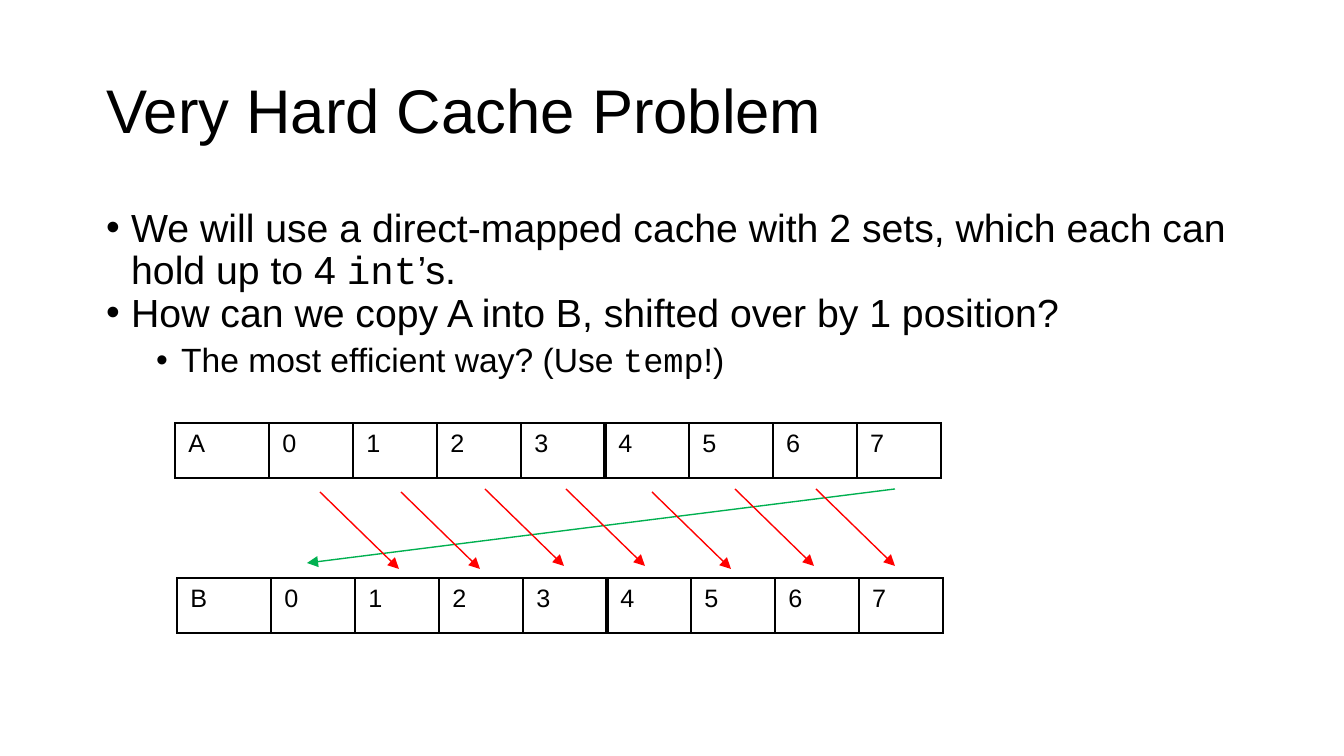
from dataclasses import dataclass

from lxml.etree import SubElement
from pptx import Presentation
from pptx.dml.color import RGBColor
from pptx.enum.shapes import MSO_CONNECTOR
from pptx.enum.text import MSO_ANCHOR
from pptx.oxml.ns import qn
from pptx.util import Emu, Pt

BLACK, RED, GREEN = "000000", "FF0000", "00B050"
SANS, MONO = "Arial", "Courier New"


@dataclass
class Array:
    name: str
    x: int
    y: int


@dataclass
class Arrow:
    x1: int
    y1: int
    x2: int
    y2: int
    color: str = RED


def px(n: int) -> Emu:
    return Emu(round(n * 914400 / 134.4))


def rgb(color: str) -> RGBColor:
    return RGBColor.from_string(color)


def add_text(p, text: str, *, size: float, font: str = SANS, color: str = BLACK) -> None:
    r = p.add_run()
    r.text = text
    r.font.size = Pt(size)
    r.font.name = font
    r.font.color.rgb = rgb(color)


def add_box(s, x: int, y: int, w: int, h: int):
    tf = s.shapes.add_textbox(px(x), px(y), px(w), px(h)).text_frame
    tf.word_wrap = True
    return tf


def set_bullet(p, left: int, hang: int) -> None:
    pPr = p._p.get_or_add_pPr()
    pPr.set("marL", str(px(left)))
    pPr.set("indent", str(-px(hang)))
    SubElement(pPr, qn("a:buFont"), typeface=SANS)
    SubElement(pPr, qn("a:buChar"), char="•")


def set_border(cell, side: str, width: float) -> None:
    tcPr = cell._tc.get_or_add_tcPr()
    ln = SubElement(tcPr, qn(f"a:ln{side}"), w=str(Pt(width)))
    fill = SubElement(ln, qn("a:solidFill"))
    SubElement(fill, qn("a:srgbClr"), val=BLACK)


def draw_array(s, array: Array) -> None:
    labels = [array.name, *map(str, range(8))]
    widths = [94] + [84] * 8
    table = s.shapes.add_table(1, len(labels), px(array.x), px(array.y),
                               px(sum(widths)), px(55)).table
    table.first_row = table.horz_banding = False
    table.rows[0].height = px(55)
    for i, (label, width) in enumerate(zip(labels, widths)):
        table.columns[i].width = px(width)
        cell = table.cell(0, i)
        add_text(cell.text_frame.paragraphs[0], label, size=13.5)
        # A thick line splits the array into two cache blocks
        for side in "LRTB":
            thick = (i, side) in ((4, "R"), (5, "L"))
            set_border(cell, side, 2.2 if thick else 0.96)
        cell.fill.background()


def draw_arrow(s, a: Arrow) -> None:
    sp = s.shapes.add_connector(MSO_CONNECTOR.STRAIGHT,
                                px(a.x1), px(a.y1), px(a.x2), px(a.y2))
    sp.line.color.rgb = rgb(a.color)
    sp.line.width = Pt(0.75)
    SubElement(sp.line._get_or_add_ln(), qn("a:tailEnd"), type="triangle")
    SubElement(sp._element.spPr, qn("a:effectLst"))


prs = Presentation()
prs.slide_width, prs.slide_height = px(1344), px(756)
s = prs.slides.add_slide(prs.slide_layouts[6])

# Title
tf = add_box(s, 93, 40, 1159, 147)
tf.vertical_anchor = MSO_ANCHOR.MIDDLE
p = tf.paragraphs[0]
p.line_spacing = 0.9
add_text(p, "Very Hard Cache Problem", size=33)

# Bullets: level and runs, with code in the monospaced font
BULLETS = [
    (0, [("We will use a direct-mapped cache with 2 sets, which each can hold up to 4 ", SANS),
         ("int", MONO), ("’s.", SANS)]),
    (0, [("How can we copy A into B, shifted over by 1 position?", SANS)]),
    (1, [("The most efficient way? (Use ", SANS), ("temp", MONO), ("!)", SANS)]),
]
tf = add_box(s, 93, 202, 1159, 480)
for i, (level, runs) in enumerate(BULLETS):
    p = tf.add_paragraph() if i else tf.paragraphs[0]
    p.level = level
    p.line_spacing = 1.0 if level else 0.9
    p.space_before = Pt(2 if level else 0)
    set_bullet(p, 25 + 50 * level, 25)
    for text, font in runs:
        add_text(p, text, size=18 if level else 21, font=font)

# Arrays
for array in (Array("A", 175, 423), Array("B", 177, 578)):
    draw_array(s, array)

# Arrows: each element moves one place right, the last wraps to the front
STARTS = [(320, 492), (401, 492), (485, 489), (566, 489), (652, 492), (735, 489), (816, 489)]
draw_arrow(s, Arrow(895, 489, 307, 563, GREEN))
for x, y in STARTS:
    draw_arrow(s, Arrow(x, y, x + 79, y + 77))

prs.save("out.pptx")
